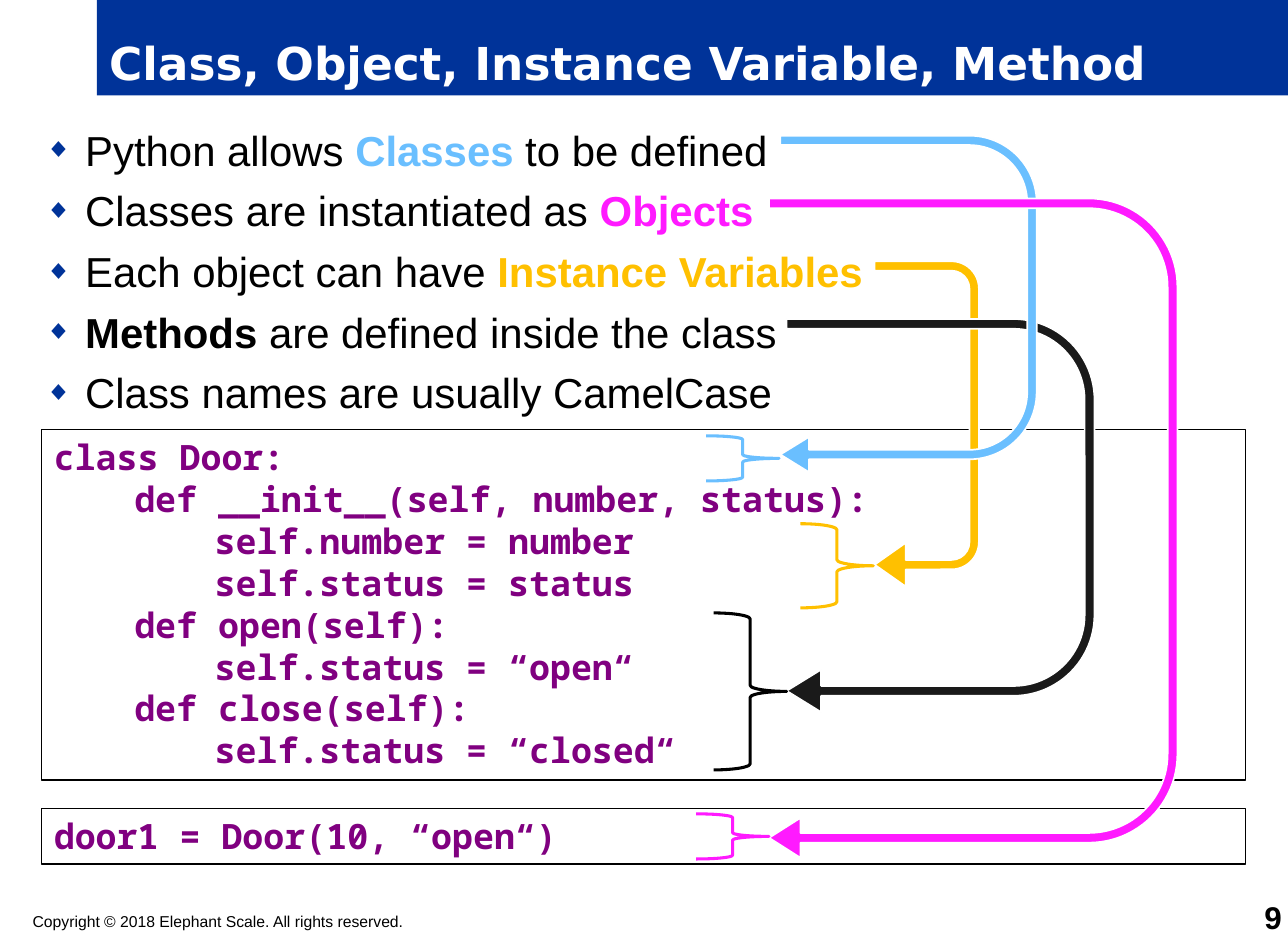
from dataclasses import dataclass

from lxml.etree import SubElement
from pptx import Presentation
from pptx.dml.color import RGBColor
from pptx.enum.shapes import MSO_SHAPE as Shape
from pptx.enum.text import MSO_ANCHOR as Anchor, PP_ALIGN as Align
from pptx.oxml.ns import qn
from pptx.util import Inches, Pt

BLUE, WHITE, BLACK, PURPLE = "003399", "FFFFFF", "000000", "800080"
SKY, PINK, GOLD, DARK = "6ABFFF", "FF1AFF", "FFC000", "1A1A1A"
TAB = 0.32

Box = tuple[float, float, float, float]


@dataclass
class Word:
    text: str
    color: str = BLACK
    bold: bool = False


@dataclass
class Link:
    """A bent arrow and the brace it points at."""
    arrow: Box
    bends: tuple[float, ...]
    brace: Box
    color: str
    edge: str


POINTS = [
    [Word("Python allows "), Word("Classes ", SKY, True), Word("to be defined")],
    [Word("Classes are instantiated as "), Word("Objects", PINK, True)],
    [Word("Each object can have "), Word("Instance Variables", GOLD, True)],
    [Word("Methods", bold=True), Word(" are defined inside the class")],
    [Word("Class names are usually CamelCase")],
]

CODE = [
    (0, "class Door:"),
    (1, "def __init__(self, number, status):"),
    (2, "self.number = number"),
    (2, "self.status = status"),
    (1, "def open(self):"),
    (2, "self.status = “open“"),
    (1, "def close(self):"),
    (2, "self.status = “closed“"),
]

LINKS = [
    Link((6.08, 2.96, 2.59, 0.83), (0.091, 0.21, 0.298, 0.263, 1),
         (6.37, 4.17, 0.58, 0.67), GOLD, GOLD),
    Link((5.92, 2.88, 3.13, 2.45), (0.032, 0.069, 0.112, 0.263, 1),
         (5.68, 4.88, 0.58, 1.25), DARK, BLACK),
    Link((5.89, 1.4, 2.68, 2.04), (0.037, 0.069, 0.112, 0.263, 1),
         (5.62, 3.47, 0.58, 0.36), SKY, SKY),
    Link((5.12, 2.58, 5.25, 3.25), (0.024, 0.049, 0.077, 0.217, 1),
         (5.54, 6.48, 0.58, 0.36), PINK, PINK),
]


def paint(color: str) -> RGBColor:
    return RGBColor.from_string(color)


def add_shape(shapes, kind: Shape, box: Box, fill: str = "", line: str = "",
              width: float = 0.75):
    shape = shapes.add_shape(kind, *map(Inches, box))
    shape.shadow.inherit = False
    if fill:
        shape.fill.solid()
        shape.fill.fore_color.rgb = paint(fill)
    else:
        shape.fill.background()
    if line:
        shape.line.color.rgb = paint(line)
        shape.line.width = Pt(width)
    else:
        shape.line.fill.background()
    return shape


def add_bullet(para) -> None:
    props = para._p.get_or_add_pPr()
    props.set("marL", str(Inches(TAB)))
    props.set("indent", str(-Inches(TAB)))
    color = SubElement(props, qn("a:buClr"))
    SubElement(color, qn("a:srgbClr"), val=BLUE)
    SubElement(props, qn("a:buSzPct"), val="65000")
    SubElement(props, qn("a:buFont"), typeface="Arial")
    SubElement(props, qn("a:buChar"), char="◆")


def add_tabs(para) -> None:
    tabs = SubElement(para._p.get_or_add_pPr(), qn("a:tabLst"))
    for stop in range(1, 5):
        SubElement(tabs, qn("a:tab"), pos=str(Inches(TAB * stop)), algn="l")


def write(shape, rows: list[list[Word]], *, size: float, font: str = "Arial",
          align: Align = Align.LEFT, anchor: Anchor = Anchor.TOP,
          inset: tuple[float, float] = (0.1, 0.05), gap: float = 0,
          pitch: float = 0, bullet: bool = False, tabs: bool = False) -> None:
    frame = shape.text_frame
    frame.word_wrap = True
    frame.vertical_anchor = anchor
    frame.margin_left = frame.margin_right = Inches(inset[0])
    frame.margin_top = frame.margin_bottom = Inches(inset[1])
    for i, row in enumerate(rows):
        para = frame.add_paragraph() if i else frame.paragraphs[0]
        if bullet:
            add_bullet(para)
        if tabs:
            add_tabs(para)
        para.alignment = align
        if gap and i:
            para.space_before = Pt(gap)
        if pitch:
            para.line_spacing = Pt(pitch)
        for word in row:
            run = para.add_run()
            run.text = word.text
            run.font.size = Pt(size)
            run.font.name = font
            run.font.bold = word.bold
            run.font.color.rgb = paint(word.color)


def add_text(shapes, box: Box, rows: list[list[Word]], **style) -> None:
    write(shapes.add_textbox(*map(Inches, box)), rows, **style)


def add_code(shapes, box: Box, lines: list[tuple[int, str]]) -> None:
    rows = [[Word("\t\t" * level + code, PURPLE, True)] for level, code in lines]
    panel = add_shape(shapes, Shape.RECTANGLE, box, WHITE, BLACK)
    write(panel, rows, size=20, font="Noto Sans Mono", pitch=24, tabs=True)


def add_link(shapes, link: Link) -> None:
    group = shapes.add_group_shape().shapes
    arrow = add_shape(group, Shape.U_TURN_ARROW, link.arrow, link.color, WHITE, 1)
    arrow.rotation = 90
    for i, bend in enumerate(link.bends):
        arrow.adjustments[i] = bend
    add_shape(group, Shape.RIGHT_BRACE, link.brace, line=link.edge, width=1.75)


def main() -> None:
    deck = Presentation()
    deck.slide_width, deck.slide_height = Inches(10.25), Inches(7.5)
    shapes = deck.slides.add_slide(deck.slide_layouts[6]).shapes

    title = add_shape(shapes, Shape.RECTANGLE, (0.77, 0, 9.48, 0.76), BLUE)
    write(title, [[Word("Class, Object, Instance Variable, Method", WHITE, True)]],
          size=26, font="DejaVu Sans", anchor=Anchor.BOTTOM)
    add_text(shapes, (0.26, 0.94, 9.74, 2.4), POINTS, size=24, gap=6, bullet=True)
    add_text(shapes, (0.26, 7.26, 5.95, 0.15),
             [[Word("Copyright © 2018 Elephant Scale. All rights reserved.")]],
             size=9, inset=(0, 0))
    add_text(shapes, (9.6, 7.2, 0.6, 0.25), [[Word("9", bold=True)]], size=18,
             align=Align.RIGHT, anchor=Anchor.BOTTOM, inset=(0, 0))

    add_code(shapes, (0.33, 3.42, 9.58, 2.79), CODE)
    add_code(shapes, (0.33, 6.44, 9.58, 0.44), [(0, "door1 = Door(10, “open“)")])
    for link in LINKS:
        add_link(shapes, link)
    deck.save("out.pptx")


if __name__ == "__main__":
    main()
